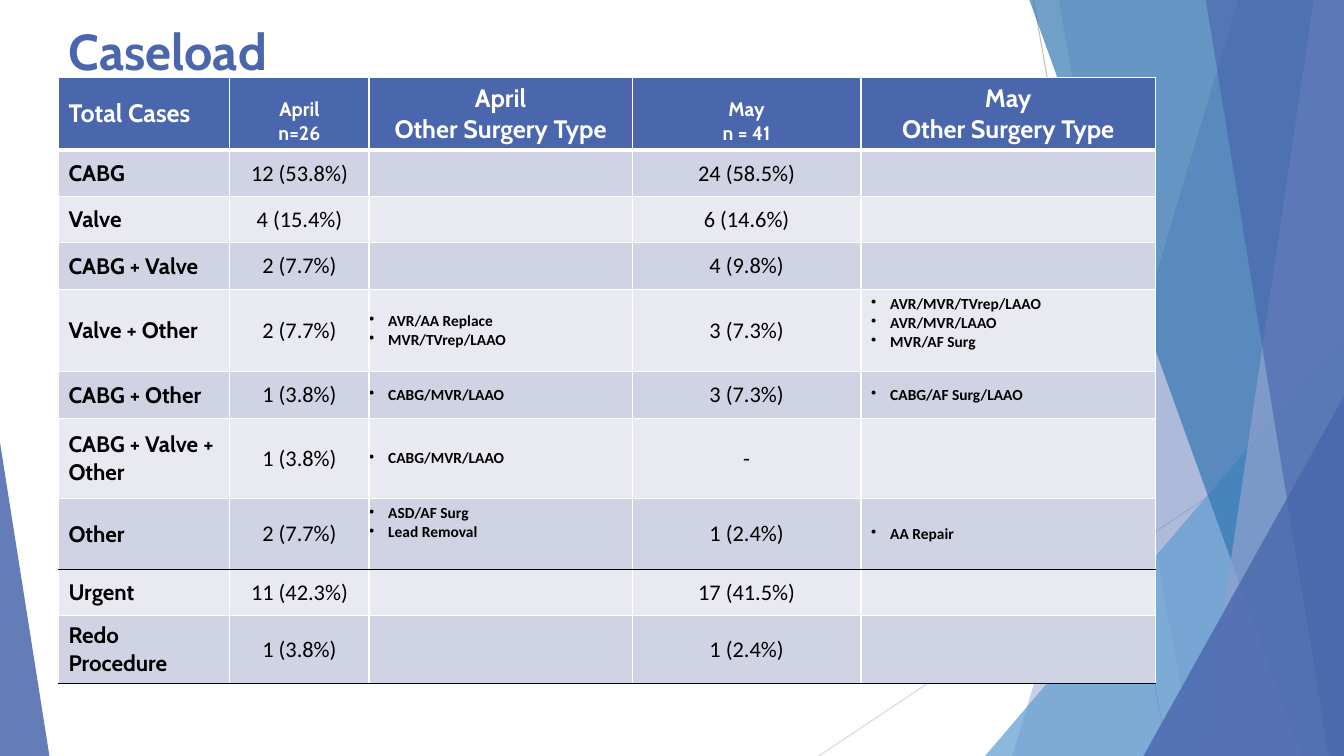
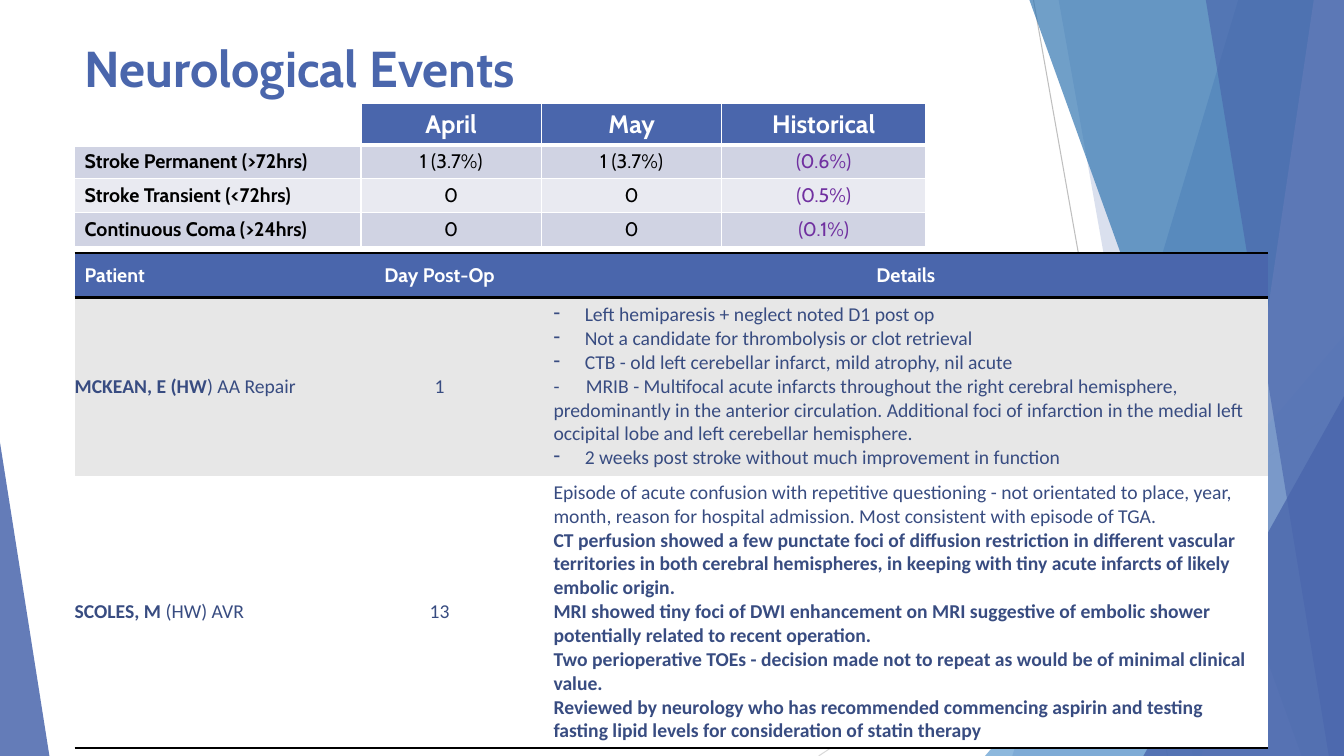
from lxml.etree import SubElement
from pptx import Presentation
from pptx.dml.color import RGBColor
from pptx.enum.shapes import MSO_CONNECTOR, MSO_SHAPE
from pptx.enum.text import MSO_ANCHOR as ANCHOR, MSO_AUTO_SIZE, PP_ALIGN as ALIGN
from pptx.oxml.ns import qn
from pptx.util import Inches, Pt

rgb = RGBColor.from_string
BLUE, WHITE, BLACK = "4A66AC", "FFFFFF", "000000"
BANDS = ["D0D3E3", "E9EAF1"]
NAVY, PURPLE, GREY = "384C81", "7030A0", "E7E7E7"
HEAD_FONT, BODY_FONT = "Cabin", "Calibri"
THIN_WHITE, THICK_WHITE = (WHITE, 1), (WHITE, 3)
THIN_BLACK, THICK_BLACK = (BLACK, 1), (BLACK, 2)
WIDTH, HEIGHT = 13.33, 7.5


def add_grid(slide, left, top, widths, heights, rules, divider, fills):
    """Add a table; rules are its horizontal lines from top to bottom, fills its row colours."""
    table = slide.shapes.add_table(len(heights), len(widths), Inches(left), Inches(top),
                                   Inches(sum(widths)), Inches(sum(heights))).table
    table.horz_banding = False
    for column, width in zip(table.columns, widths):
        column.width = Inches(width)
    for r, (row, height) in enumerate(zip(table.rows, heights)):
        row.height = Inches(height)
        for cell in row.cells:
            props = cell._tc.get_or_add_tcPr()
            sides = {"lnL": divider, "lnR": divider, "lnT": rules[r], "lnB": rules[r + 1]}
            for side, line in sides.items():
                border = SubElement(props, qn("a:" + side))
                if line is None:
                    SubElement(border, qn("a:noFill"))
                    continue
                border.set("w", str(Pt(line[1])))
                paint = SubElement(border, qn("a:solidFill"))
                SubElement(paint, qn("a:srgbClr"), val=line[0])
            cell.fill.solid()
            cell.fill.fore_color.rgb = rgb(fills[r])
    return table


def write(cell, lines, size, colour=BLACK, bold=False, font=HEAD_FONT, align=ALIGN.LEFT,
          anchor=ANCHOR.MIDDLE, margin=0.1, bullet=None, indent=0.19):
    """Fill a cell; a line is a string or a list of (text, bold) runs."""
    cell.vertical_anchor = anchor
    cell.margin_left = cell.margin_right = Inches(margin)
    frame = cell.text_frame
    for i, line in enumerate(lines):
        paragraph = frame.add_paragraph() if i else frame.paragraphs[0]
        paragraph.alignment = align
        props = paragraph._p.get_or_add_pPr()
        runs = [(line, bold)] if isinstance(line, str) else line
        if runs[0][0].startswith("-\t"):
            stops = SubElement(props, qn("a:tabLst"))
            SubElement(stops, qn("a:tab"), pos=str(Inches(0.32)), algn="l")
        elif bullet:
            props.set("marL", str(Inches(indent)))
            props.set("indent", str(-Inches(indent)))
            SubElement(props, qn("a:buChar"), char=bullet)
        for text, heavy in runs:
            run = paragraph.add_run()
            run.text = text
            run.font.name = font
            run.font.size = Pt(size)
            run.font.bold = heavy
            run.font.color.rgb = rgb(colour)


deck = Presentation()
deck.slide_width, deck.slide_height = Inches(WIDTH), Inches(HEIGHT)
layout = deck.slide_layouts[5]

titles = [("Caseload", 0.58, 0.11, 9.48, 0.78),
          ("Neurological Events", 0.74, 0.3, 9.4, 0.74)]
for text, *box in titles:
    title = deck.slides.add_slide(layout).shapes.title
    title.left, title.top, title.width, title.height = [Inches(v) for v in box]
    title.text_frame.text = text
    title.text_frame.auto_size = MSO_AUTO_SIZE.NONE
    title.text_frame.vertical_anchor = ANCHOR.MIDDLE
    heading = title.text_frame.paragraphs[0]
    heading.alignment = ALIGN.LEFT
    font = heading.runs[0].font
    font.name, font.size, font.bold = HEAD_FONT, Pt(36), True
    font.color.rgb = rgb(BLUE)
caseload, neuro = deck.slides

# Faceted backdrop: drawn once, then moved to the layout that both slides share
backdrop = []
for x1, y1, x2, y2, colour in [(10.25, 0, 11.58, HEIGHT, "BFBFBF"),
                               (WIDTH, 4.03, 8.12, HEIGHT, "D9D9D9")]:
    ray = caseload.shapes.add_connector(MSO_CONNECTOR.STRAIGHT, Inches(x1), Inches(y1),
                                        Inches(x2), Inches(y2))
    ray.line.color.rgb = rgb(colour)
    ray.line.width = Pt(0.75)
    SubElement(ray._element.spPr, qn("a:effectLst"))
    backdrop.append(ray)

# Bands give the left edge at top and bottom; triangles give left, top, width, apex
facets = [("band", BLUE, 30, 12.28, 10.04),
          ("band", BLUE, 20, 10.5, 11.83),
          ("triangle", "629DD1", 72, 9.77, 3.33, 3.56, 1),
          ("band", "3477B2", 70, 10.21, 12.91),
          ("band", "90A2CF", 70, 13.03, 11.92),
          ("band", BLUE, 65, 11.96, 13.18),
          ("triangle", BLUE, 80, 11.34, 3.93, 1.99, 1),
          ("triangle", BLUE, 85, 0, 4.39, 0.49, 0)]
for kind, colour, opacity, *geometry in facets:
    if kind == "band":
        upper, lower = geometry
        outline = caseload.shapes.build_freeform(Inches(upper), 0)
        outline.add_line_segments([(Inches(x), Inches(y)) for x, y in
                                   [(WIDTH, 0), (WIDTH, HEIGHT), (lower, HEIGHT)]])
        facet = outline.convert_to_shape()
    else:
        left, top, width, apex = geometry
        facet = caseload.shapes.add_shape(MSO_SHAPE.ISOSCELES_TRIANGLE, Inches(left), Inches(top),
                                          Inches(width), Inches(HEIGHT - top))
        facet.adjustments[0] = apex
    facet.shadow.inherit = False
    facet.line.fill.background()
    facet.fill.solid()
    facet.fill.fore_color.rgb = rgb(colour)
    tint = facet._element.spPr.find(qn("a:solidFill")).find(qn("a:srgbClr"))
    SubElement(tint, qn("a:alpha"), val=str(opacity * 1000))
    backdrop.append(facet)
for position, part in enumerate(backdrop, start=2):
    layout.shapes._spTree.insert(position, part._element)

# Caseload
cases = [
    ("CABG", "12 (53.8%)", [], "24 (58.5%)", []),
    ("Valve", "4 (15.4%)", [], "6 (14.6%)", []),
    ("CABG + Valve", "2 (7.7%)", [], "4 (9.8%)", []),
    ("Valve + Other", "2 (7.7%)", ["AVR/AA Replace", "MVR/TVrep/LAAO"],
     "3 (7.3%)", ["AVR/MVR/TVrep/LAAO", "AVR/MVR/LAAO", "MVR/AF Surg"]),
    ("CABG + Other", "1 (3.8%)", ["CABG/MVR/LAAO"], "3 (7.3%)", ["CABG/AF Surg/LAAO"]),
    ("CABG + Valve + Other", "1 (3.8%)", ["CABG/MVR/LAAO"], "-", []),
    ("Other", "2 (7.7%)", ["ASD/AF Surg", "Lead Removal"], "1 (2.4%)", ["AA Repair"]),
    ("Urgent", "11 (42.3%)", [], "17 (41.5%)", []),
    ("Redo Procedure", "1 (3.8%)", [], "1 (2.4%)", []),
]
case_rules = ([THIN_WHITE, THICK_WHITE] + [THIN_WHITE] * 6
              + [THIN_BLACK, THIN_WHITE, THIN_BLACK])
case_table = add_grid(caseload, 0.58, 0.77, [1.7, 1.38, 2.61, 2.27, 2.92],
                      [0.72, 0.46, 0.46, 0.46, 0.82, 0.46, 0.8, 0.7, 0.46, 0.67],
                      case_rules, THIN_WHITE, [BLUE] + [BANDS[i % 2] for i in range(len(cases))])

write(case_table.cell(0, 0), ["Total Cases"], 18, WHITE, True)
for column, (month, count) in zip((1, 3), [("April", "n=26"), ("May", "n = 41")]):
    write(case_table.cell(0, column), [month, count], 14, WHITE, True,
          align=ALIGN.CENTER, anchor=ANCHOR.BOTTOM)
    write(case_table.cell(0, column + 1), [month, "Other Surgery Type"], 18, WHITE, True,
          align=ALIGN.CENTER)
for r, (category, april, april_other, may, may_other) in enumerate(cases, start=1):
    write(case_table.cell(r, 0), [category], 16, bold=True)
    for column, count in ((1, april), (3, may)):
        write(case_table.cell(r, column), [count], 16, font=BODY_FONT,
              align=ALIGN.CENTER, margin=0)
    for column, surgeries, margin in ((2, april_other, 0), (4, may_other, 0.1)):
        high = len(surgeries) == 3 or "Lead Removal" in surgeries
        write(case_table.cell(r, column), surgeries, 11, bold=True, font=BODY_FONT,
              anchor=ANCHOR.TOP if high else ANCHOR.MIDDLE, margin=margin, bullet="•")

# Neurological events: rates
rates = [("Stroke Permanent (>72hrs)", "1 (3.7%)", "1 (3.7%)", "(0.6%)"),
         ("Stroke Transient (<72hrs)", "0", "0", "(0.5%)"),
         ("Continuous Coma (>24hrs)", "0", "0", "(0.1%)")]
rate_table = add_grid(neuro, 0.74, 1.03, [2.84, 1.79, 1.79, 2.02], [0.4] + [0.33] * 3,
                      [THIN_WHITE, THICK_WHITE] + [THIN_WHITE] * 3, THIN_WHITE,
                      [BLUE, BANDS[0], BANDS[1], BANDS[0]])
rate_table.cell(0, 0).fill.background()
for column, period in enumerate(["April", "May", "Historical"], start=1):
    write(rate_table.cell(0, column), [period], 18, WHITE, True, align=ALIGN.CENTER)
for r, (event, *values) in enumerate(rates, start=1):
    write(rate_table.cell(r, 0), [event], 14, bold=True, anchor=ANCHOR.TOP)
    for column, (value, colour) in enumerate(zip(values, (BLACK, BLACK, PURPLE)), start=1):
        write(rate_table.cell(r, column), [value], 14, colour, align=ALIGN.CENTER)

# Neurological events: patients
patients = [
    ([("MCKEAN, E (HW", True), (") AA Repair", False)], "1", "-", [
        "Left hemiparesis + neglect noted D1 post op",
        "Not a candidate for thrombolysis or clot retrieval",
        "CTB - old left cerebellar infarct, mild atrophy, nil acute",
        "-\tMRIB - Multifocal acute infarcts throughout the right cerebral hemisphere, "
        "predominantly in the anterior circulation. Additional foci of infarction in the "
        "medial left occipital lobe and left cerebellar hemisphere.",
        "2 weeks post stroke without much improvement in function"]),
    ([("SCOLES, M ", True), ("(HW) AVR", False)], "13", None, [
        "Episode of acute confusion with repetitive questioning - not orientated to place, "
        "year, month, reason for hospital admission. Most consistent with episode of TGA.",
        [("CT perfusion showed a few punctate foci of diffusion restriction in different "
          "vascular territories in both cerebral hemispheres, in keeping with tiny acute "
          "infarcts of likely embolic origin.", True)],
        [("MRI showed tiny foci of DWI enhancement on MRI suggestive of embolic shower "
          "potentially related to recent operation.", True)],
        [("Two perioperative TOEs - decision made not to repeat as would be of minimal "
          "clinical value.", True)],
        [("Reviewed by neurology who has recommended commencing aspirin and testing "
          "fasting lipid levels for consideration of statin therapy", True)]]),
]
patient_table = add_grid(neuro, 0.74, 2.51, [2.59, 2.06, 7.19], [0.44, 1.77, 2.69],
                         [THICK_BLACK, THICK_BLACK, None, THICK_BLACK], None,
                         [BLUE, GREY, WHITE])
for column, label in enumerate(["Patient", "Day Post-Op", "Details"]):
    write(patient_table.cell(0, column), [label], 14, WHITE, True,
          align=ALIGN.CENTER if column else ALIGN.LEFT)
for r, (patient, day, bullet, details) in enumerate(patients, start=1):
    write(patient_table.cell(r, 0), [patient], 14, NAVY, font=BODY_FONT, margin=0)
    write(patient_table.cell(r, 1), [day], 14, NAVY, font=BODY_FONT, align=ALIGN.CENTER)
    write(patient_table.cell(r, 2), details, 14, NAVY, font=BODY_FONT,
          bullet=bullet, indent=0.31)

deck.save("out.pptx")
